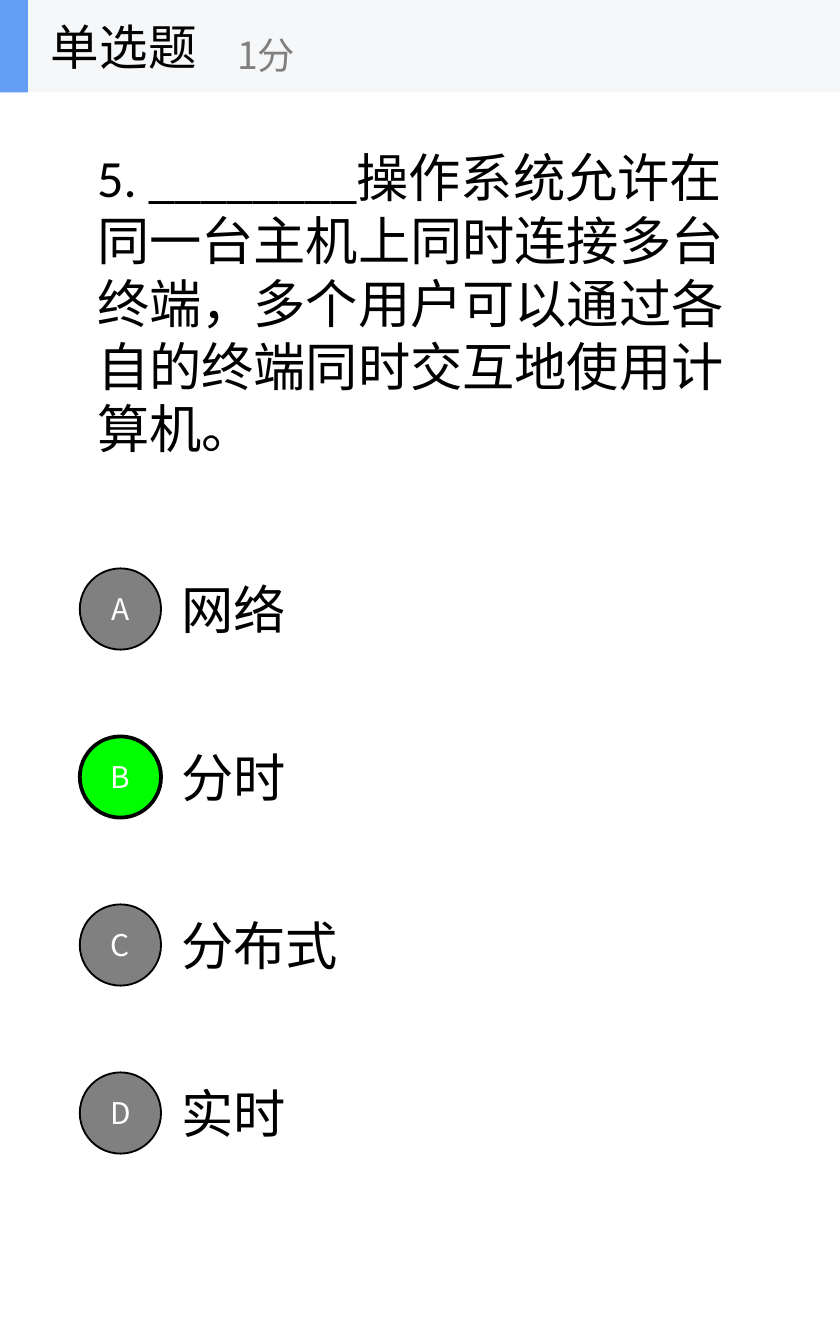
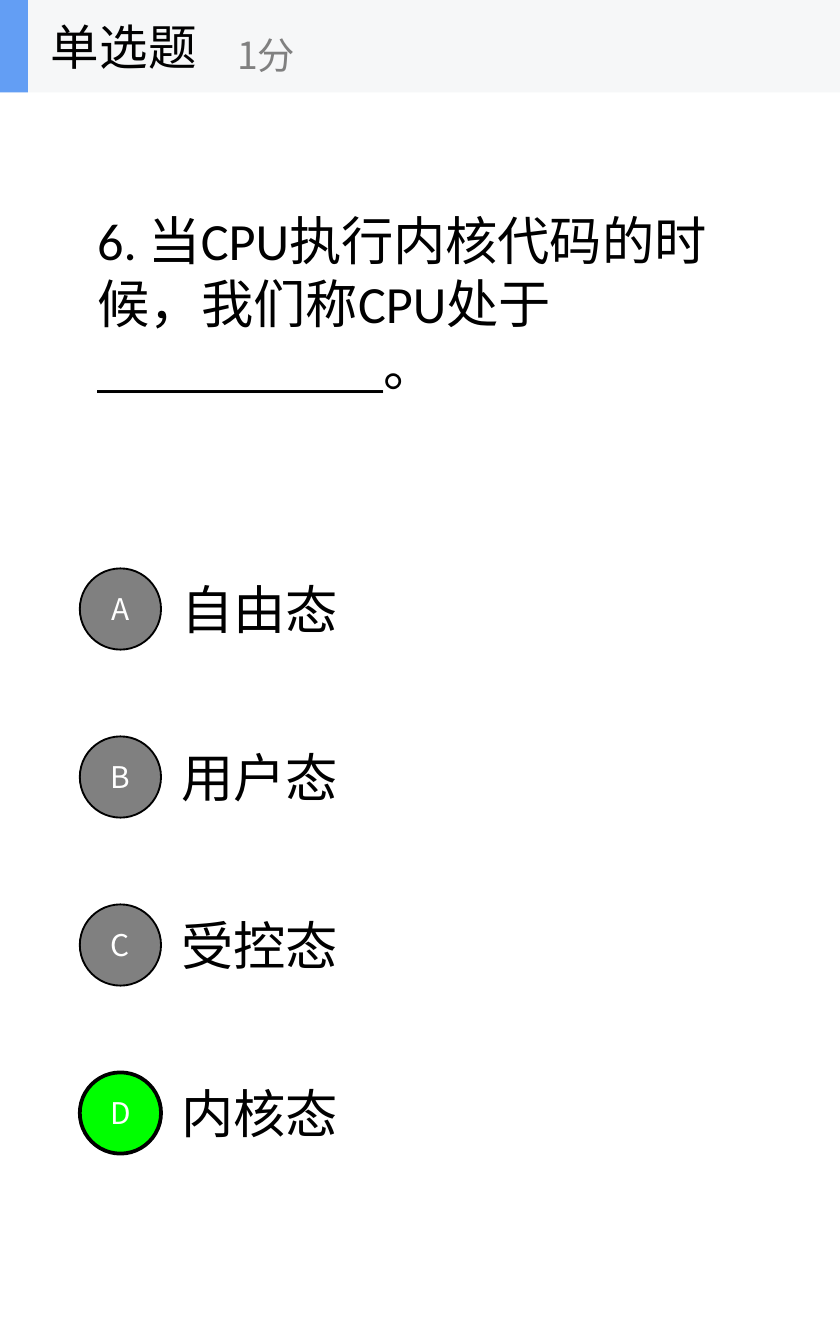
from dataclasses import dataclass
from typing import NamedTuple

from lxml.etree import SubElement
from pptx import Presentation
from pptx.dml.color import RGBColor
from pptx.enum.shapes import MSO_SHAPE
from pptx.enum.text import MSO_ANCHOR, PP_ALIGN
from pptx.oxml.ns import qn
from pptx.util import Emu, Pt

EMU_PER_PX = 9525
SLIDE_W, SLIDE_H = 600, 960

CJK_FONT = "Noto Sans CJK SC"
BLACK, WHITE, GREY = "000000", "FFFFFF", "808080"
BAND, ACCENT, CORRECT = "F6F7F8", "639EF4", "00FF00"

OPTION_TOP, OPTION_STEP = 390, 120
BADGE_OFFSET, BADGE_SIZE = 16, 58


class Box(NamedTuple):
    left: int
    top: int
    width: int
    height: int

    def emu(self) -> list[Emu]:
        return [px(n) for n in self]


@dataclass(frozen=True)
class TextStyle:
    size: int
    font: str = CJK_FONT
    color: str = BLACK
    align: PP_ALIGN = PP_ALIGN.LEFT
    wrap: bool = True


@dataclass(frozen=True)
class Question:
    text: str
    options: tuple[str, ...]
    answer: str


BODY = TextStyle(28, "Calibri")
BADGE = TextStyle(16, color=WHITE, align=PP_ALIGN.CENTER)
HEADING = TextStyle(26, wrap=False)
POINTS = TextStyle(20, color=GREY, wrap=False)

QUESTIONS = (
    Question(
        "5. ________操作系统允许在同一台主机上同时连接多台终端，"
        "多个用户可以通过各自的终端同时交互地使用计算机。",
        ("网络", "分时", "分布式", "实时"),
        "B",
    ),
    Question(
        "6. 当CPU执行内核代码的时候，我们称CPU处于___________。",
        ("自由态", "用户态", "受控态", "内核态"),
        "D",
    ),
)


def px(n: int) -> Emu:
    return Emu(n * EMU_PER_PX)


def rgb(color: str) -> RGBColor:
    return RGBColor.from_string(color)


def write(sp, text: str, style: TextStyle) -> None:
    tf = sp.text_frame
    tf.word_wrap = style.wrap
    tf.vertical_anchor = MSO_ANCHOR.MIDDLE
    p = tf.paragraphs[0]
    p.text = text
    p.alignment = style.align
    p.font.size = Pt(style.size)
    p.font.color.rgb = rgb(style.color)
    p.font.name = style.font
    # East Asian glyphs take their typeface from a:ea
    props = p._p.find(qn("a:pPr")).find(qn("a:defRPr"))
    SubElement(props, qn("a:ea")).set("typeface", CJK_FONT)


def add_text(shapes, box: Box, text: str, style: TextStyle) -> None:
    write(shapes.add_textbox(*box.emu()), text, style)


def add_filled(shapes, kind: MSO_SHAPE, box: Box, fill: str, line_pt: int = 0):
    """Add a flat shape; a line width of 0 means no outline."""
    sp = shapes.add_shape(kind, *box.emu())
    sp.shadow.inherit = False
    sp.fill.solid()
    sp.fill.fore_color.rgb = rgb(fill)
    if line_pt:
        sp.line.color.rgb = rgb(BLACK)
        sp.line.width = Pt(line_pt)
    else:
        sp.line.fill.background()
    return sp


def add_badge(shapes, letter: str, top: int, correct: bool) -> None:
    box = Box(57, top + BADGE_OFFSET, BADGE_SIZE, BADGE_SIZE)
    fill, line_pt = (CORRECT, 2) if correct else (GREY, 1)
    write(add_filled(shapes, MSO_SHAPE.OVAL, box, fill, line_pt), letter, BADGE)


def add_header(shapes) -> None:
    group = shapes.add_group_shape().shapes
    add_filled(group, MSO_SHAPE.RECTANGLE, Box(0, 0, SLIDE_W, 66), BAND)
    add_filled(group, MSO_SHAPE.RECTANGLE, Box(0, 0, 20, 66), ACCENT)
    add_text(group, Box(27, 0, 200, 66), "单选题", HEADING)
    add_text(group, Box(160, 12, 240, 54), "1分", POINTS)


def add_question(prs, question: Question) -> None:
    s = prs.slides.add_slide(prs.slide_layouts[6])
    add_text(s.shapes, Box(60, 66, 480, 300), question.text, BODY)
    tops = [OPTION_TOP + i * OPTION_STEP for i in range(len(question.options))]
    for top, option in zip(tops, question.options):
        add_text(s.shapes, Box(120, top, 420, 90), option, BODY)
    for top, letter in zip(tops, "ABCD"):
        add_badge(s.shapes, letter, top, letter == question.answer)
    add_header(s.shapes)


def main() -> None:
    prs = Presentation()
    prs.slide_width, prs.slide_height = px(SLIDE_W), px(SLIDE_H)
    for question in QUESTIONS:
        add_question(prs, question)
    prs.save("out.pptx")


if __name__ == "__main__":
    main()
